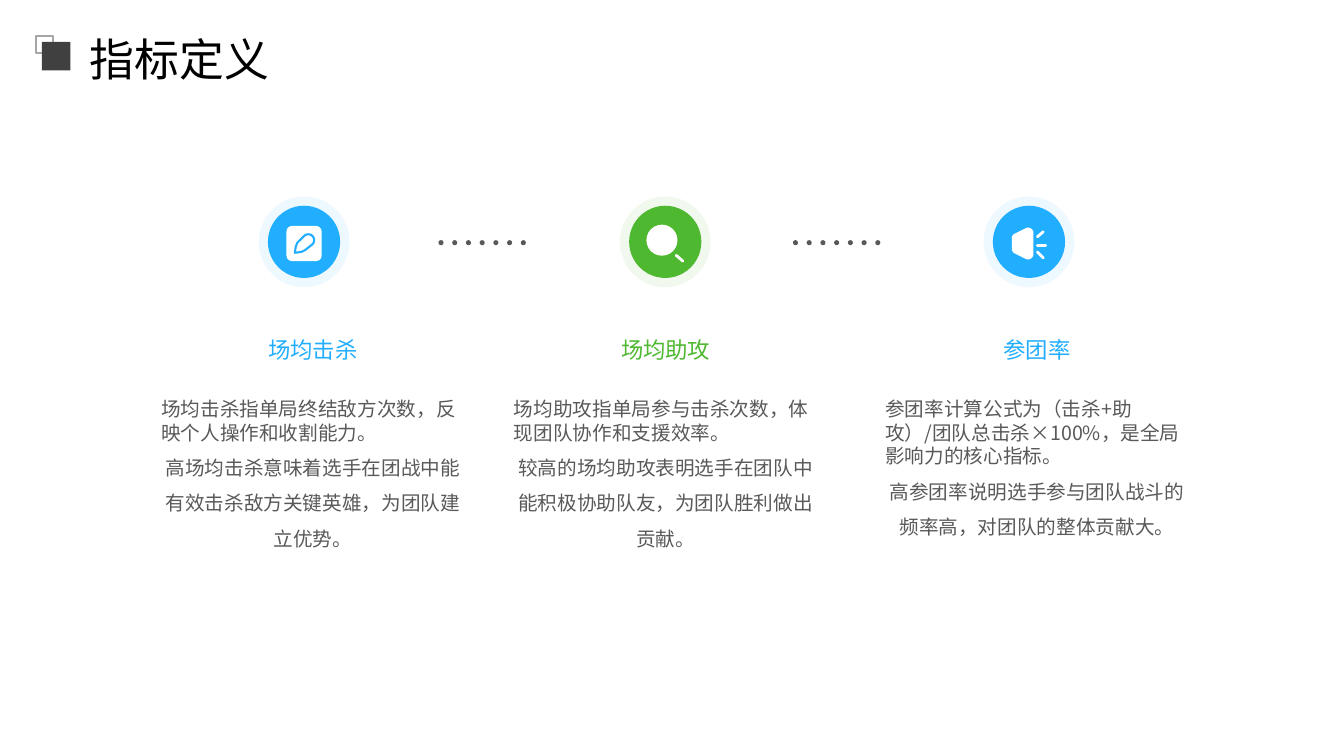
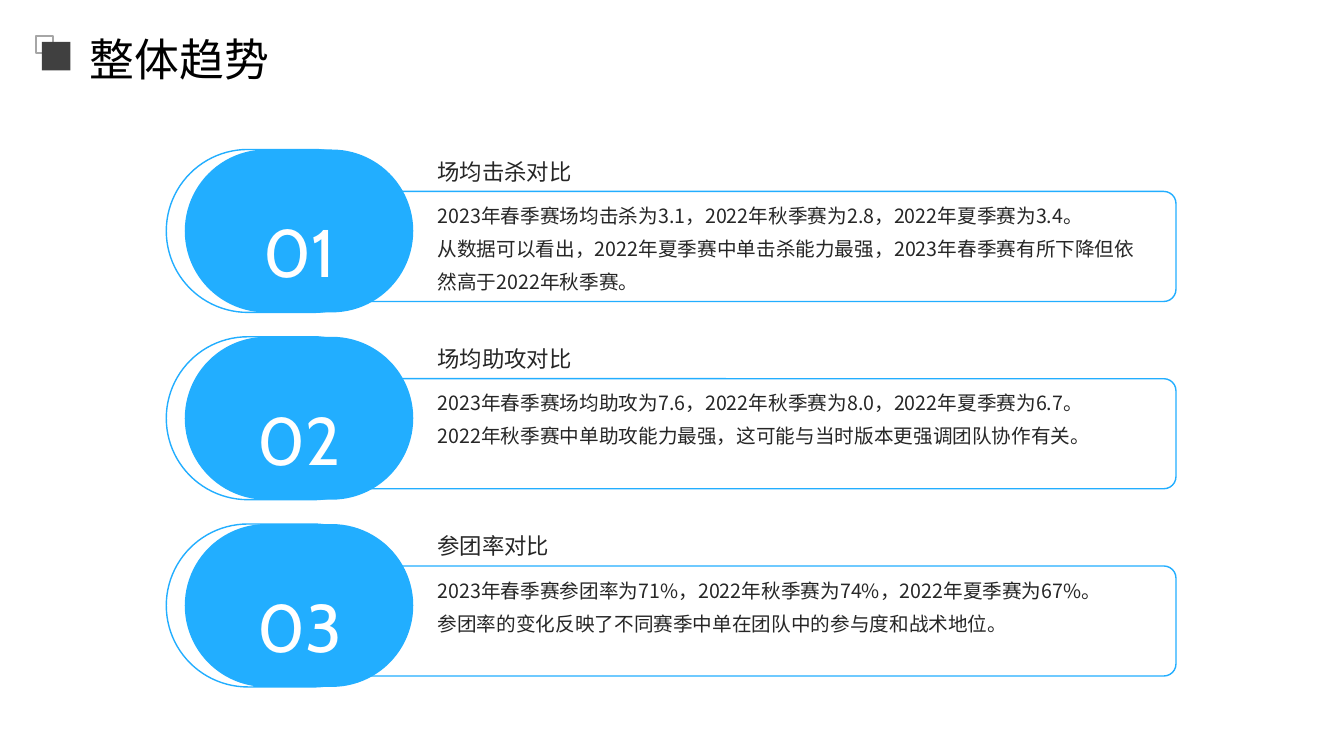
from math import cos, radians, sin

from lxml.etree import SubElement
from pptx import Presentation
from pptx.dml.color import RGBColor
from pptx.enum.shapes import MSO_CONNECTOR, MSO_SHAPE
from pptx.enum.text import MSO_ANCHOR, MSO_AUTO_SIZE, PP_ALIGN
from pptx.oxml.ns import qn
from pptx.util import Inches, Pt

# The slide is a grid of 16 columns by 9 rows of square cells
WIDTH, HEIGHT = Inches(13.33), Inches(7.5)
CELL = WIDTH / 16

FONT, NUMBER_FONT = "Noto Sans CJK SC", "Cabin"
BLUE, GREEN, WHITE, BLACK = "22AEFF", "4EB830", "FFFFFF", "000000"
GREY, INK, DARK, PALE = "595959", "262626", "404040", "A6A6A6"

ICON_ROW = 2.88
TEXT_COLUMNS = 3.85
CARD_TOP, CARD_PITCH = 1.78, 2.23
PILL_SIZE = (2.72, 1.94)


def cells(*values):
    return [round(value * CELL) for value in values]


def color(value):
    return RGBColor.from_string(value)


# Shapes and lines
def paint(shape, fill=None, line=None, weight=1):
    shape.shadow.inherit = False
    if fill:
        shape.fill.solid()
        shape.fill.fore_color.rgb = color(fill)
    else:
        shape.fill.background()
    if line:
        shape.line.color.rgb = color(line)
        shape.line.width = Pt(weight)
    else:
        shape.line.fill.background()
    return shape


def add_preset(slide, kind, box, fill=None, line=None, radius=None):
    shape = slide.shapes.add_shape(kind, *cells(*box))
    if radius is not None:
        shape.adjustments[0] = radius
    return paint(shape, fill, line)


def add_disc(slide, center_x, center_y, diameter, fill):
    box = (center_x - diameter / 2, center_y - diameter / 2, diameter, diameter)
    return add_preset(slide, MSO_SHAPE.OVAL, box, fill)


def add_outline(slide, center, points, fill, line, weight):
    corners = [cells(center[0] + x, center[1] + y) for x, y in points]
    builder = slide.shapes.build_freeform(*corners[0])
    builder.add_line_segments(corners[1:], close=True)
    return paint(builder.convert_to_shape(), fill, line, weight)


def add_stroke(slide, center, start, end):
    x, y = center
    ends = cells(x + start[0], y + start[1], x + end[0], y + end[1])
    connector = slide.shapes.add_connector(MSO_CONNECTOR.STRAIGHT, *ends)
    connector.line.color.rgb = color(WHITE)
    connector.line.width = Pt(2)
    connector.line._get_or_add_ln().set("cap", "rnd")
    SubElement(connector._element.spPr, qn("a:effectLst"))


# Text
def style(paragraph, size, ink, spacing, align=PP_ALIGN.LEFT, font=FONT):
    paragraph.alignment = align
    paragraph.line_spacing = spacing
    paragraph.font.size = Pt(size)
    paragraph.font.color.rgb = color(ink)
    paragraph.font.name = font
    defaults = paragraph._p.pPr.find(qn("a:defRPr"))
    SubElement(defaults, qn("a:ea"), typeface=font)


def set_frame(frame, anchor, inset):
    frame.word_wrap = True
    frame.auto_size = MSO_AUTO_SIZE.NONE
    frame.vertical_anchor = anchor
    if not inset:
        frame.margin_left = frame.margin_right = 0
        frame.margin_top = frame.margin_bottom = 0


def add_text(slide, box, lines, anchor=MSO_ANCHOR.TOP, inset=True):
    """Each line is its text followed by the arguments of style()."""
    frame = slide.shapes.add_textbox(*cells(*box)).text_frame
    set_frame(frame, anchor, inset)
    for index, (text, *look) in enumerate(lines):
        paragraph = frame.add_paragraph() if index else frame.paragraphs[0]
        paragraph.text = text
        style(paragraph, *look)


def add_titled_slide(presentation, text):
    slide = presentation.slides.add_slide(presentation.slide_layouts[5])
    title = slide.shapes.title
    title.left, title.top, title.width, title.height = cells(1.07, 0.35, 14.28, 0.56)
    title.text = text
    set_frame(title.text_frame, MSO_ANCHOR.MIDDLE, inset=False)
    style(title.text_frame.paragraphs[0], 32, BLACK, 1.2)
    # Pair of squares beside the title
    add_preset(slide, MSO_SHAPE.RECTANGLE, (0.43, 0.43, 0.2, 0.2), line=PALE)
    add_preset(slide, MSO_SHAPE.RECTANGLE, (0.5, 0.5, 0.34, 0.34), DARK)
    return slide


# Icons, drawn around their center
def draw_pen(slide, center, ink):
    x, y = center
    add_preset(slide, MSO_SHAPE.ROUNDED_RECTANGLE, (x - 0.21, y - 0.19, 0.42, 0.42),
               WHITE, radius=0.16)
    cap = [(0.05 + 0.07 * cos(radians(angle)), -0.02 + 0.07 * sin(radians(angle)))
           for angle in range(-135, 46, 15)]
    nib = [(0.01, 0.1), (-0.03, 0.12), (-0.11, 0.13), (-0.1, 0.06), (-0.08, 0.01)]
    add_outline(slide, center, cap + nib, None, ink, 1.5)


def draw_lens(slide, center, ink):
    add_disc(slide, center[0] - 0.04, center[1] - 0.02, 0.37, WHITE)
    add_stroke(slide, center, (0.13, 0.16), (0.21, 0.23))


def draw_speaker(slide, center, ink):
    horn = [(-0.17, -0.06), (-0.01, -0.14), (0.02, -0.12),
            (0.02, 0.16), (-0.01, 0.18), (-0.17, 0.1)]
    add_outline(slide, center, horn, WHITE, WHITE, 4)
    for start, end in (((0.1, -0.06), (0.17, -0.12)), ((0.1, 0.04), (0.2, 0.04)),
                       ((0.1, 0.12), (0.17, 0.19))):
        add_stroke(slide, center, start, end)


# Parts of the slides
def add_dots(slide, left):
    for index in range(7):
        add_disc(slide, left + 0.03 + index * 0.98 / 6, 2.89, 0.06, GREY)


def add_metric(slide, icon_x, left, ink, draw_icon, label, meaning, comment):
    halo = add_disc(slide, icon_x, ICON_ROW, 1.08, ink)
    fill_color = halo._element.spPr.find(qn("a:solidFill"))[0]
    SubElement(fill_color, qn("a:alpha"), val="8000")
    add_disc(slide, icon_x, ICON_ROW, 0.86, ink)
    draw_icon(slide, (icon_x, ICON_ROW), ink)
    add_text(slide, (left, 3.66, TEXT_COLUMNS, 0.92),
             [(label, 16, ink, 1.3, PP_ALIGN.CENTER)], MSO_ANCHOR.MIDDLE)
    add_text(slide, (left, 4.67, TEXT_COLUMNS, 3.01),
             [(meaning, 14, GREY, 1.0),
              (comment, 14, GREY, 1.5, PP_ALIGN.CENTER)])


def add_trend(slide, index, heading, figures, comment):
    top = CARD_TOP + index * CARD_PITCH
    rounded = MSO_SHAPE.ROUNDED_RECTANGLE
    add_preset(slide, rounded, (1.98, top, *PILL_SIZE), WHITE, BLUE, 0.5)
    add_preset(slide, rounded, (3.24, top + 0.5, 10.76, 1.31), WHITE, BLUE, 0.11)
    add_preset(slide, rounded, (2.2, top, *PILL_SIZE), BLUE, radius=0.5)
    add_text(slide, (2.69, top + 0.24, 1.75, 1.46),
             [(f"{index + 1:02}", 48, WHITE, 1.5, PP_ALIGN.CENTER, NUMBER_FONT)],
             MSO_ANCHOR.MIDDLE, inset=False)
    add_text(slide, (5.21, top + 0.65, 8.48, 1.01),
             [(figures, 14, INK, 1.0), (comment, 14, INK, 1.4)], inset=False)
    add_text(slide, (5.21, top - 0.3, 8.48, 0.72),
             [(heading, 16, INK, 1.2)], MSO_ANCHOR.BOTTOM, inset=False)


METRICS = [
    (3.62, 1.8, BLUE, draw_pen, "场均击杀",
     "场均击杀指单局终结敌方次数，反映个人操作和收割能力。",
     "高场均击杀意味着选手在团战中能有效击杀敌方关键英雄，为团队建立优势。"),
    (7.92, 6, GREEN, draw_lens, "场均助攻",
     "场均助攻指单局参与击杀次数，体现团队协作和支援效率。",
     "较高的场均助攻表明选手在团队中能积极协助队友，为团队胜利做出贡献。"),
    (12.25, 10.42, BLUE, draw_speaker, "参团率",
     "参团率计算公式为（击杀+助攻）/团队总击杀×100%，是全局影响力的核心指标。",
     "高参团率说明选手参与团队战斗的频率高，对团队的整体贡献大。"),
]

TRENDS = [
    ("场均击杀对比",
     "2023年春季赛场均击杀为3.1，2022年秋季赛为2.8，2022年夏季赛为3.4。",
     "从数据可以看出，2022年夏季赛中单击杀能力最强，2023年春季赛有所下降但依然高于2022年秋季赛。"),
    ("场均助攻对比",
     "2023年春季赛场均助攻为7.6，2022年秋季赛为8.0，2022年夏季赛为6.7。",
     "2022年秋季赛中单助攻能力最强，这可能与当时版本更强调团队协作有关。"),
    ("参团率对比",
     "2023年春季赛参团率为71%，2022年秋季赛为74%，2022年夏季赛为67%。",
     "参团率的变化反映了不同赛季中单在团队中的参与度和战术地位。"),
]


def main():
    presentation = Presentation()
    presentation.slide_width, presentation.slide_height = WIDTH, HEIGHT

    # Definitions of the metrics
    slide = add_titled_slide(presentation, "指标定义")
    for left in (5.22, 9.44):
        add_dots(slide, left)
    for metric in METRICS:
        add_metric(slide, *metric)

    # Overall trends
    slide = add_titled_slide(presentation, "整体趋势")
    for index, trend in enumerate(TRENDS):
        add_trend(slide, index, *trend)

    presentation.save("out.pptx")


if __name__ == "__main__":
    main()
